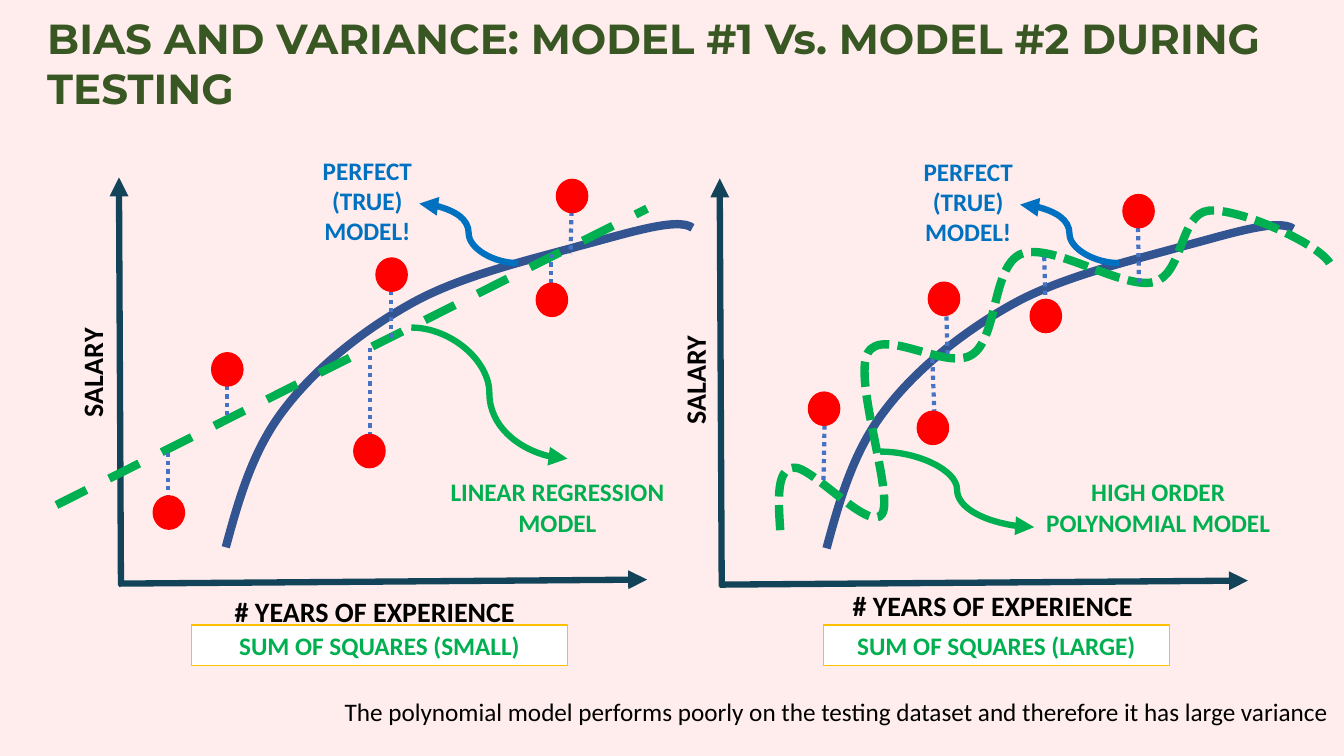
from lxml.etree import SubElement
from pptx import Presentation
from pptx.dml.color import RGBColor
from pptx.enum.dml import MSO_LINE
from pptx.enum.shapes import MSO_CONNECTOR, MSO_SHAPE
from pptx.enum.text import MSO_AUTO_SIZE, PP_ALIGN
from pptx.oxml.ns import qn
from pptx.util import Inches, Pt

CELL = Inches(0.1)
COLS, ROWS = 133.33, 75
PANEL = (59.6, 0.1)
DOT = (3.1, 3.3)

THEME = {
    "background": "FFEDED",
    "dot": "FF0000",
    "box": "FFFFFF",
    "text": {
        "title": ("385723", {"name": "Montserrat", "size": Pt(30), "bold": True}),
        "axis": ("000000", {"name": "Calibri", "size": Pt(20), "bold": True}),
        "true": ("0070C0", {"name": "Calibri", "size": Pt(18), "bold": True}),
        "fit": ("00B050", {"name": "Calibri", "size": Pt(18), "bold": True}),
        "note": ("000000", {"name": "Calibri", "size": Pt(18), "bold": False}),
    },
    "line": {
        "axis": ("124359", {"width": Pt(4.5)}, True),
        "curve": ("325491", {"width": Pt(6)}, False),
        "true": ("0070C0", {"width": Pt(4.5)}, True),
        "fit": ("00B050", {"width": Pt(4.5)}, True),
        "linear": ("00B050", {"width": Pt(6), "dash_style": MSO_LINE.DASH}, False),
        "polynomial": ("00B050", {"width": Pt(6), "dash_style": MSO_LINE.SQUARE_DOT}, False),
        "residual": ("4472C4", {"width": Pt(3), "dash_style": MSO_LINE.ROUND_DOT}, False),
        "dot": ("FF0000", {"width": Pt(1)}, False),
        "box": ("FFC000", {"width": Pt(1)}, False),
    },
}

TRUE_CURVE = [
    (22.4, 54.3), (23.7, 49.5), (25.1, 44.6), (28.2, 40.6), (31.3, 36.5),
    (36.1, 32.7), (41, 30), (45.9, 27.3), (52.9, 25.7), (57.5, 24.4),
    (62.1, 23.2), (67.2, 21.5), (68.7, 22.6),
]
POLYNOMIAL = [
    (77.4, 52.6), (77.2, 49.6), (77, 46.6), (78.7, 46.4), (80.4, 46.1),
    (86.3, 52.9), (87.5, 51), (88.7, 49.1), (84.6, 37.6), (86.1, 35),
    (87.6, 32.4), (93.9, 36.8), (96.4, 35.2), (99, 33.6), (98.4, 26.4),
    (101.3, 25.2), (104.3, 24), (111.3, 28.7), (114.4, 28), (117.4, 27.3),
    (117, 21.2), (119.9, 20.9), (122.8, 20.6), (130.7, 24.1), (131.9, 26.1),
]
PANELS = [
    {
        "curves": [("curve", TRUE_CURVE)],
        "straight": [("linear", (5.6, 50.1, 64.2, 20.7))],
        "arrow": (40.8, 32.5, 56.3, 45.5),
        "salary": (3.7, 34.7), "years": (22.3, 58.5),
        "model": "LINEAR REGRESSION MODEL",
        "sum": ("SUM OF SQUARES (SMALL)", 19, 37.3),
        "dots": [(21, 35), (35.1, 43.1), (37.3, 25.6), (55.2, 17.8), (53.2, 28.1), (15.2, 49.2)],
        "residuals": [(22.5, 38.3, 22.5, 41.2), (36.7, 34.5, 36.7, 43.1),
                      (38.8, 28.9, 38.8, 33.8), (16.7, 44.9, 16.7, 49.2),
                      (54.7, 25.2, 54.7, 28.1), (56.7, 21, 56.6, 25.2)],
    },
    {
        "curves": [("curve", [(x + PANEL[0], y + PANEL[1]) for x, y in TRUE_CURVE]),
                   ("polynomial", POLYNOMIAL)],
        "straight": [],
        "arrow": (87.3, 44.8, 102.6, 52.3),
        "salary": (63.5, 35.4), "years": (83.6, 57.9),
        "model": "HIGH ORDER POLYNOMIAL MODEL",
        "sum": ("SUM OF SQUARES (LARGE)", 81.7, 34.3),
        "dots": [(92.1, 28), (80.2, 38.9), (91, 40.8), (102.2, 29.7), (111.4, 19.3)],
        "residuals": [(92.5, 35.6, 92.7, 41.3), (81.8, 42.2, 81.7, 47.6),
                      (93.9, 31.4, 94, 35.1), (103.6, 25.5, 103.7, 29.7),
                      (112.9, 22.6, 113, 28.3)],
    },
]


def stroke(sp, style):
    color, fmt, arrow = THEME["line"][style]
    sp.line.color.rgb = RGBColor.from_string(color)
    for key, value in fmt.items():
        setattr(sp.line, key, value)
    sp_pr = sp._element.spPr
    if arrow:
        SubElement(sp_pr.find(qn("a:ln")), qn("a:tailEnd"), type="triangle")
    SubElement(sp_pr, qn("a:effectLst"))


def write(sp, text, style, align=PP_ALIGN.CENTER, wrap=True):
    color, fmt = THEME["text"][style]
    tf = sp.text_frame
    tf.word_wrap = wrap
    tf.auto_size = MSO_AUTO_SIZE.SHAPE_TO_FIT_TEXT
    p = tf.paragraphs[0]
    p.alignment = align
    r = p.add_run()
    r.text = text
    r.font.color.rgb = RGBColor.from_string(color)
    for key, value in fmt.items():
        setattr(r.font, key, value)


prs = Presentation()
prs.slide_width, prs.slide_height = int(COLS * CELL), ROWS * CELL
s = prs.slides.add_slide(prs.slide_layouts[6])
s.background.fill.solid()
s.background.fill.fore_color.rgb = RGBColor.from_string(THEME["background"])

labels = [
    ("BIAS AND VARIANCE: MODEL #1 Vs. MODEL #2 DURING TESTING", "title",
     (3.7, 0.7, 129.7, 11.1), PP_ALIGN.LEFT, True, 0),
    ("The polynomial model performs poorly on the testing dataset and therefore it has large variance",
     "note", (33.2, 68.6, 100.9, 4), PP_ALIGN.LEFT, False, 0),
]

for i, panel in enumerate(PANELS):
    dx, dy = i * PANEL[0], i * PANEL[1]

    for style, points in panel["curves"]:
        points = [(int(x * CELL), int(y * CELL)) for x, y in points]
        builder = s.shapes.build_freeform(*points[0])
        builder.add_line_segments(points[3::3], close=False)
        sp = builder.convert_to_shape()
        for n, segment in enumerate(list(sp._element.iter(qn("a:lnTo")))):
            outline = segment.getparent()
            outline.remove(segment)
            bezier = SubElement(outline, qn("a:cubicBezTo"))
            for x, y in points[3 * n + 1:3 * n + 4]:
                SubElement(bezier, qn("a:pt"), x=str(x - sp.left), y=str(y - sp.top))
        sp.fill.background()
        stroke(sp, style)

    straight = [
        ("axis", (11.8 + dx, 57.9 + dy, 64.2 + dx, 57.5 + dy)),
        ("axis", (12 + dx, 58.1 + dy, 11.8 + dx, 17.6 + dy)),
        *panel["straight"],
        *[("residual", ends) for ends in panel["residuals"]],
    ]
    curved = [
        ("true", (51.4 + dx, 26.1, 41.6 + dx, 20.2 + dy)),
        ("fit", panel["arrow"]),
    ]
    for kind, links in ((MSO_CONNECTOR.STRAIGHT, straight), (MSO_CONNECTOR.CURVE, curved)):
        for style, ends in links:
            sp = s.shapes.add_connector(kind, *[int(v * CELL) for v in ends])
            stroke(sp, style)

    text, left, width = panel["sum"]
    marks = [(MSO_SHAPE.OVAL, "dot", (*dot, *DOT)) for dot in panel["dots"]]
    marks.append((MSO_SHAPE.RECTANGLE, "box", (left, 62, width, 4)))
    for shape, style, area in marks:
        sp = s.shapes.add_shape(shape, *[int(v * CELL) for v in area])
        sp.fill.solid()
        sp.fill.fore_color.rgb = RGBColor.from_string(THEME[style])
        stroke(sp, style)
    write(sp, text, "fit")

    labels += [
        ("# YEARS OF EXPERIENCE", "axis", (*panel["years"], 30, 4.4), PP_ALIGN.LEFT, False, 0),
        ("SALARY", "axis", (*panel["salary"], 10.9, 4.4), PP_ALIGN.LEFT, False, 270),
        ("PERFECT (TRUE) MODEL!", "true", (27.6 + dx, 14.9 + dy, 17.7, 10.1), PP_ALIGN.CENTER, True, 0),
        (panel["model"], "fit", (43 + dx, 46.8, 24.6, 7.1), PP_ALIGN.CENTER, True, 0),
    ]

for text, style, area, align, wrap, rotation in labels:
    sp = s.shapes.add_textbox(*[int(v * CELL) for v in area])
    sp.rotation = rotation
    write(sp, text, style, align, wrap)

prs.save("out.pptx")
